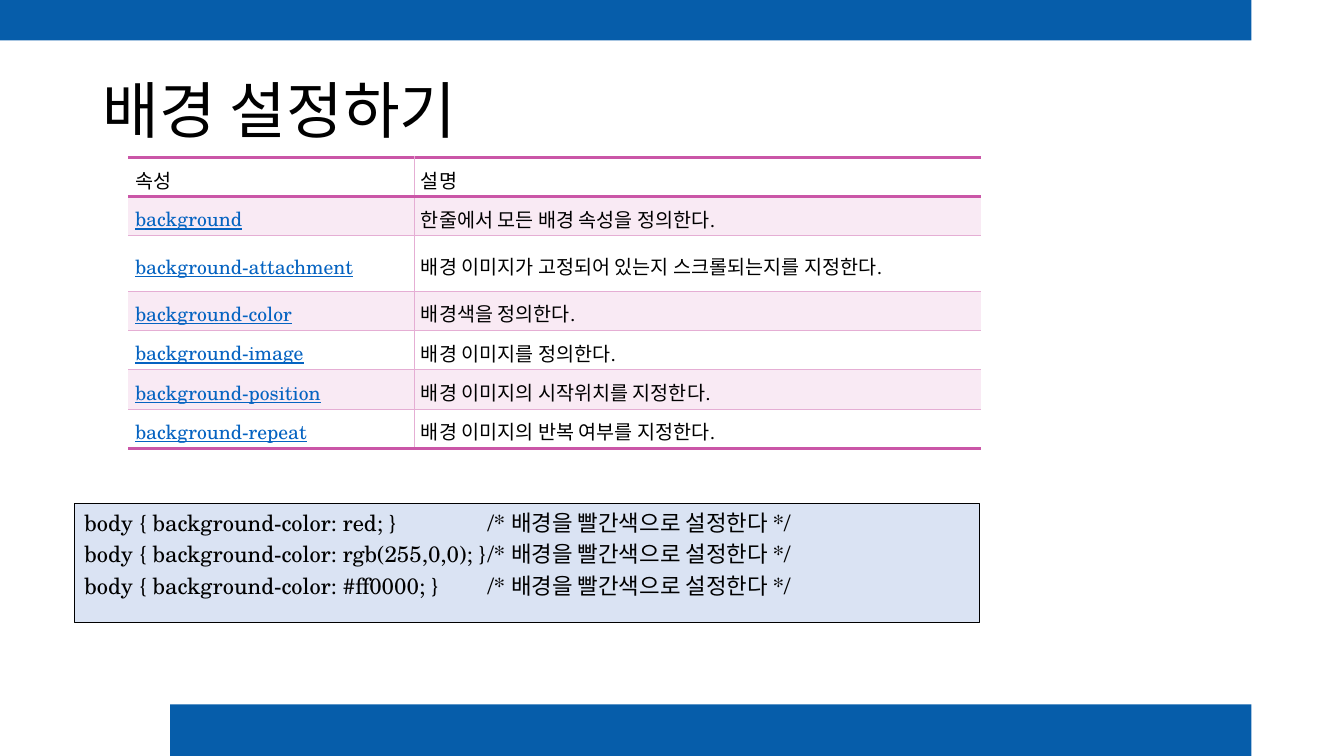
from lxml.etree import SubElement
from pptx import Presentation
from pptx.dml.color import RGBColor
from pptx.enum.shapes import MSO_SHAPE as Shape
from pptx.enum.text import MSO_ANCHOR as Anchor, PP_ALIGN as Align
from pptx.oxml.ns import qn
from pptx.util import Cm, Pt

LATIN, KOREAN = "TeX Gyre Schola", "Noto Sans CJK KR"
BLUE, BLACK, LINK, WHITE = "065DAA", "000000", "0563C1", "FFFFFF"
PALE_PINK, CODE_FILL = "F9EAF4", "DAE3F3"
THIN, THICK = ("E5AED4", 0.28), ("CA56A7", 2.55)

PROPERTIES = [
    ("속성", "설명"),
    ("background", "한줄에서 모든 배경 속성을 정의한다. "),
    ("background-attachment", "배경 이미지가 고정되어 있는지 스크롤되는지를 지정한다. "),
    ("background-color", "배경색을 정의한다. "),
    ("background-image", "배경 이미지를 정의한다. "),
    ("background-position", "배경 이미지의 시작위치를 지정한다. "),
    ("background-repeat", "배경 이미지의 반복 여부를 지정한다. "),
]
CODE_LINES = [
    "body { background-color: red; } \t\t/* 배경을 빨간색으로 설정한다 */",
    "body { background-color: rgb(255,0,0); }\t/* 배경을 빨간색으로 설정한다 */",
    "body { background-color: #ff0000; }\t/* 배경을 빨간색으로 설정한다 */",
]


def color(value):
    """Turn a hex string into a colour."""
    return RGBColor.from_string(value)


def format_text(paragraph, size, ink=BLACK, latin=LATIN, underline=False):
    """Set size, colour and both typefaces on the runs of a paragraph."""
    for run in paragraph.runs:
        font = run.font
        font.size, font.name, font.underline = Pt(size), latin, underline
        font.color.rgb = color(ink)
        SubElement(font._element, qn("a:ea"), typeface=KOREAN)


def add_panel(slide, box, fill, outline=None):
    """Add a flat rectangle, outlined when a colour is given."""
    panel = slide.shapes.add_shape(Shape.RECTANGLE, *map(Cm, box))
    panel.shadow.inherit = False
    panel.fill.solid()
    panel.fill.fore_color.rgb = color(fill)
    if outline:
        panel.line.color.rgb = color(outline)
        panel.line.width = Pt(0.75)
    else:
        panel.line.fill.background()
    return panel


def add_title(slide, box, wording):
    """Add the slide title, centred vertically in its box."""
    frame = slide.shapes.add_textbox(*map(Cm, box)).text_frame
    frame.word_wrap = True
    frame.vertical_anchor = Anchor.MIDDLE
    frame.text = wording
    heading = frame.paragraphs[0]
    heading.line_spacing = 0.9
    format_text(heading, 44, latin=KOREAN)


def set_border(cell, side, rule):
    """Draw one cell border from (colour, points), or hide it for None."""
    properties = cell._tc.get_or_add_tcPr()
    if rule is None:
        SubElement(SubElement(properties, qn(f"a:ln{side}"), w="0"), qn("a:noFill"))
        return
    ink, width = rule
    line = SubElement(properties, qn(f"a:ln{side}"), w=str(int(Pt(width))))
    SubElement(SubElement(line, qn("a:solidFill")), qn("a:srgbClr"), val=ink)


def add_property_table(slide, box, name_share=0.335):
    """Add the property table; the attachment row is taller than the rest."""
    left, top, width, height = box
    last = len(PROPERTIES) - 1
    table = slide.shapes.add_table(last + 1, 2, *map(Cm, box)).table
    table.first_row = table.horz_banding = False
    table.columns[0].width = Cm(width * name_share)
    table.columns[1].width = Cm(width * (1 - name_share))
    tall = 1.4
    for r, wordings in enumerate(PROPERTIES):
        table.rows[r].height = Cm(tall if r == 2 else (height - tall) / last)
        for c, wording in enumerate(wordings):
            cell = table.cell(r, c)
            set_border(cell, "L", THIN if c else None)
            set_border(cell, "R", None if c else THIN)
            set_border(cell, "T", THICK if r < 2 else THIN)
            set_border(cell, "B", THICK if r in (0, last) else THIN)
            cell.fill.solid()
            cell.fill.fore_color.rgb = color(PALE_PINK if r % 2 else WHITE)
            cell.vertical_anchor = Anchor.MIDDLE
            cell.margin_left = cell.margin_right = Cm(0.18)
            cell.margin_top = cell.margin_bottom = Cm(0.05)
            cell.text_frame.text = wording
            entry = cell.text_frame.paragraphs[0]
            entry.line_spacing = 1.2
            entry.alignment = Align.JUSTIFY if r else Align.LEFT
            linked = r > 0 and c == 0
            format_text(entry, 14, LINK if linked else BLACK, underline=linked)


def add_code_box(slide, box):
    """Add the panel with the CSS examples."""
    frame = add_panel(slide, box, CODE_FILL, BLACK).text_frame
    frame.word_wrap = True
    frame.vertical_anchor = Anchor.TOP
    frame.text = "\n".join(CODE_LINES)
    for code_line in frame.paragraphs:
        code_line.alignment = Align.LEFT
        code_line.space_before = Pt(3.2)
        format_text(code_line, 16)


def build():
    """Build the slide and save it."""
    deck = Presentation()
    deck.slide_width, deck.slide_height = Cm(33.87), Cm(19.05)
    slide = deck.slides.add_slide(deck.slide_layouts[6])
    add_panel(slide, (4.29, 17.75, 27.25, 1.3), BLUE)
    add_panel(slide, (0, 0, 31.54, 1.02), BLUE)
    add_title(slide, (2.34, 1.02, 29.2, 3.68), "배경 설정하기 ")
    add_property_table(slide, (3.23, 3.96, 21.49, 7.34))
    add_code_box(slide, (1.88, 12.7, 22.81, 3))
    deck.save("out.pptx")


build()
